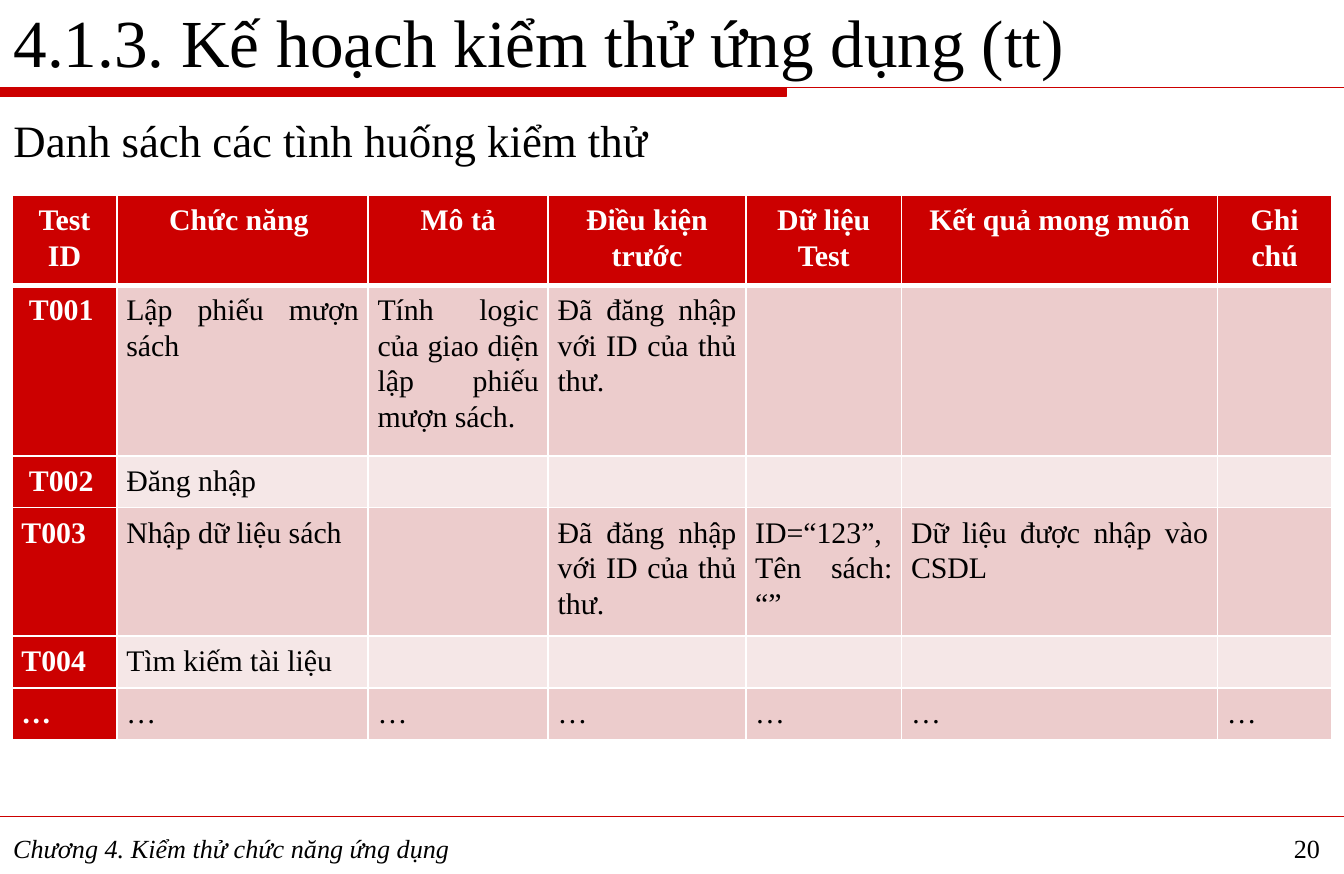
from lxml.etree import SubElement
from pptx import Presentation
from pptx.dml.color import RGBColor
from pptx.enum.text import MSO_ANCHOR, MSO_AUTO_SIZE, PP_ALIGN
from pptx.oxml.ns import qn
from pptx.util import Inches, Pt

W, H = 10, 6.5
FONT = "Times New Roman"
COLORS = {"red": "CC0000", "odd": "ECCCCC", "even": "F5E7E7", "text": "000000", "white": "FFFFFF"}
COLS = [0.78, 1.87, 1.34, 1.47, 1.16, 2.35, 0.85]
ROWS = [0.62, 1.27, 0.38, 0.89, 0.38, 0.36]
LOGIN = "Đã đăng nhập với ID của thủ thư."
CASES = [
    ["Test ID", "Chức năng ", "Mô tả", "Điều kiện trước", "Dữ liệu Test", "Kết quả mong muốn", "Ghi chú"],
    ["\N{NO-BREAK SPACE}T001", "Lập phiếu mượn sách", "Tính logic của giao diện lập phiếu mượn sách.", LOGIN, "", "", ""],
    ["\N{NO-BREAK SPACE}T002", "Đăng nhập", "", "", "", "", ""],
    ["T003", "Nhập dữ liệu sách", "", LOGIN, "ID=“123”, Tên sách: “”", "Dữ liệu được nhập vào CSDL", ""],
    ["T004", "Tìm kiếm tài liệu", "", "", "", "", ""],
    ["…"] * 7,
]


def rgb(name):
    """Return a named colour."""
    return RGBColor.from_string(COLORS[name])


def write(tf, text, size, color="text", bold=False, italic=False, align=PP_ALIGN.LEFT):
    """Put one formatted paragraph in a text frame and return it."""
    tf.text = text
    tf.word_wrap = True
    p = tf.paragraphs[0]
    p.alignment = align
    for r in p.runs:
        f = r.font
        f.name, f.size, f.bold, f.italic = FONT, Pt(size), bold, italic
        f.color.rgb = rgb(color)
    return p


def place(sp, box):
    """Move a shape to a box given in inches."""
    sp.left, sp.top, sp.width, sp.height = (Inches(v) for v in box)


def add_rules(s, top, bottom):
    """Draw the title rule with its thick start, and the footer rule."""
    thick_w, thick_h = 5.85, 0.07
    fb = s.shapes.build_freeform(0, Inches(top), scale=1.0)
    corners = [(thick_w, top), (thick_w, top + thick_h), (0, top + thick_h)]
    fb.add_line_segments([(Inches(x), Inches(y)) for x, y in corners], close=True)
    fb.move_to(0, Inches(top))
    fb.add_line_segments([(Inches(W), Inches(top))], close=False)
    bar = fb.convert_to_shape()
    bar.shadow.inherit = False
    bar.fill.solid()
    bar.fill.fore_color.rgb = rgb("red")
    bar.line.color.rgb = rgb("red")
    bar.line.width = Pt(0.75)
    rule = s.shapes.add_connector(1, 0, Inches(bottom), Inches(W), Inches(bottom))
    rule.line.color.rgb = rgb("red")
    rule.line.width = Pt(0.25)
    SubElement(rule._element.spPr, qn("a:effectLst"))


def fill_title(sp, box, text):
    """Fill the title placeholder."""
    place(sp, box)
    write(sp.text_frame, text, 36)
    sp.text_frame.vertical_anchor = MSO_ANCHOR.BOTTOM
    sp.text_frame.auto_size = MSO_AUTO_SIZE.NONE


def fill_body(sp, box, text):
    """Fill the body placeholder with one unbulleted line."""
    place(sp, box)
    p = write(sp.text_frame, text, 24)
    sp.text_frame.auto_size = MSO_AUTO_SIZE.NONE
    p.space_before = Pt(0)
    pPr = p._p.get_or_add_pPr()
    pPr.set("marL", "0")
    pPr.set("indent", "0")
    SubElement(pPr, qn("a:buNone"))


def add_footer(s, box, text, number):
    """Add the chapter name and the page number."""
    x, y, w, h = box
    parts = [(x, 8.17, text, True, PP_ALIGN.LEFT), (x + w - 1, 1, number, False, PP_ALIGN.RIGHT)]
    for left, width, words, italic, align in parts:
        tb = s.shapes.add_textbox(Inches(left), Inches(y), Inches(width), Inches(h))
        write(tb.text_frame, words, 14, italic=italic, align=align)


def set_borders(cell, top, bottom):
    """Give a cell white borders, placed ahead of its fill."""
    tcPr = cell._tc.get_or_add_tcPr()
    for i, (tag, width) in enumerate([("lnL", 0.96), ("lnR", 0.96), ("lnT", top), ("lnB", bottom)]):
        ln = SubElement(tcPr, qn(f"a:{tag}"), w=str(Pt(width)))
        SubElement(SubElement(ln, qn("a:solidFill")), qn("a:srgbClr"), val=COLORS["white"])
        tcPr.insert(i, ln)


def add_cases(s, left, top):
    """Add the table of test cases."""
    frame = s.shapes.add_table(len(ROWS), len(COLS), Inches(left), Inches(top),
                               Inches(sum(COLS)), Inches(sum(ROWS)))
    table = frame.table
    for col, width in zip(table.columns, COLS):
        col.width = Inches(width)
    for i, (row, height) in enumerate(zip(table.rows, ROWS)):
        row.height = Inches(height)
        for j, (cell, text) in enumerate(zip(row.cells, CASES[i])):
            head = i == 0 or j == 0
            cell.margin_left = cell.margin_right = Inches(0.07)
            cell.margin_top = cell.margin_bottom = Inches(0.05)
            p = write(cell.text_frame, text, 16, "white" if head else "text", bold=head,
                      align=PP_ALIGN.JUSTIFY if i else PP_ALIGN.CENTER)
            p.line_spacing = 1.07
            p.space_after = Pt(8)
            if not text:
                SubElement(p._p, qn("a:endParaRPr"), sz="1600")
            cell.fill.solid()
            cell.fill.fore_color.rgb = rgb("red" if head else "odd" if i % 2 else "even")
            set_borders(cell, 3 if i == 1 else 0.96, 3 if i == 0 else 0.96)


def main():
    """Build the slide and save it."""
    prs = Presentation()
    prs.slide_width, prs.slide_height = Inches(W), Inches(H)
    s = prs.slides.add_slide(prs.slide_layouts[1])
    add_rules(s, 0.65, 6.07)
    fill_title(s.shapes.title, (0, 0.07, W, 0.58), "4.1.3. Kế hoạch kiểm thử ứng dụng (tt)")
    fill_body(s.placeholders[1], (0, 0.79, W, 5.2), "Danh sách các tình huống kiểm thử")
    add_footer(s, (0, 6.14, 9.92, 0.3), "Chương 4. Kiểm thử chức năng ứng dụng", "20")
    add_cases(s, 0.09, 1.45)
    prs.save("out.pptx")


if __name__ == "__main__":
    main()
